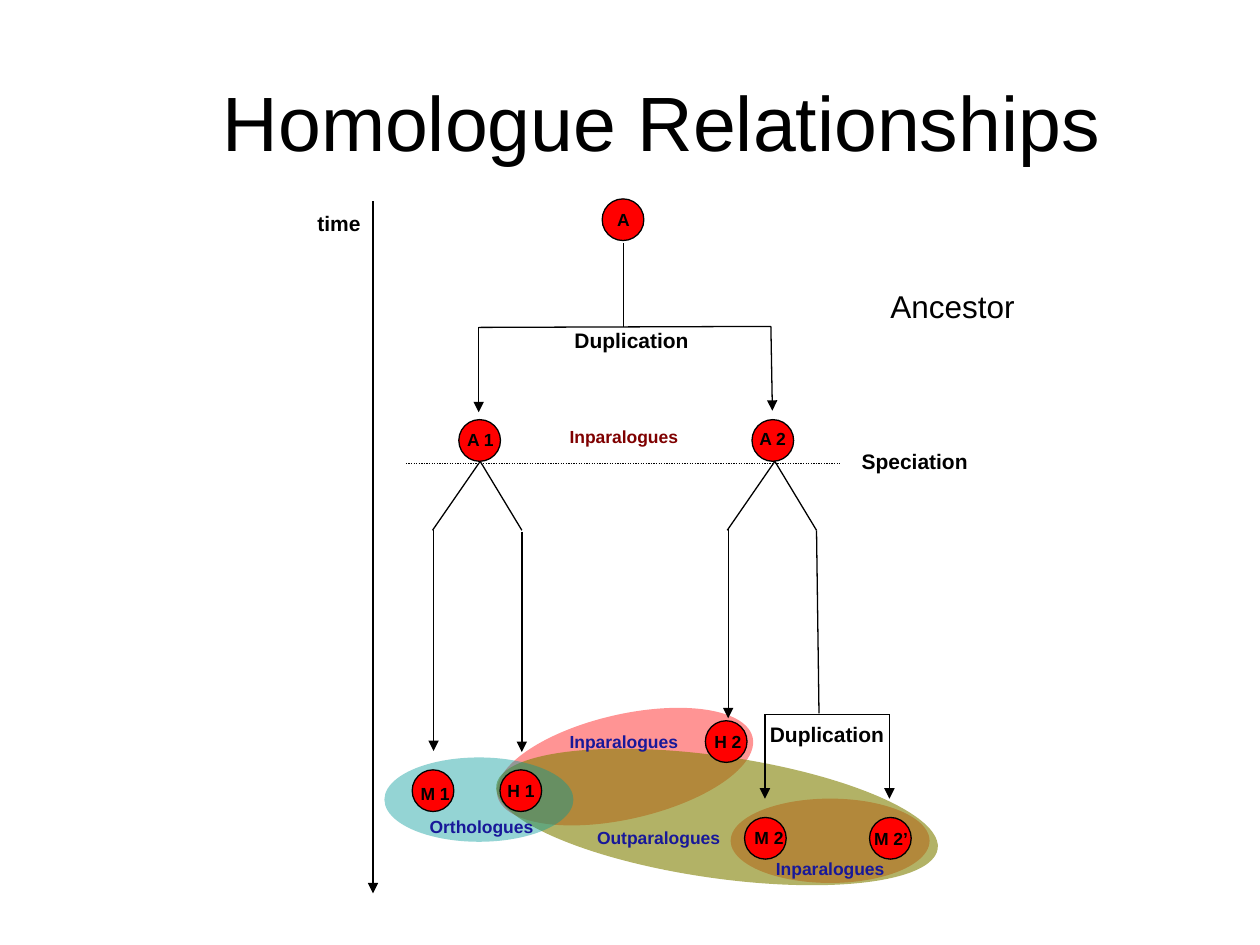
"""Build a slide showing how homologous genes are related."""
from lxml import etree
from pptx import Presentation
from pptx.dml.color import RGBColor
from pptx.enum import dml, shapes, text
from pptx.oxml.ns import qn
from pptx.util import Cm, Pt

BLACK, RED, NAVY, MAROON = "000000", "FF0000", "181899", "7F0000"
SIZE = 0.84

GROUPS = [
    (9.96, 14.4, 5.28, 2.11, RED, 42, -12.9),
    (14.73, 16.1, 4.01, 1.7, RED, 42, 0),
    (9.96, 15.24, 8.99, 2.46, "808000", 60, 8.2),
    (7.75, 15.27, 3.81, 1.7, "009999", 42, 0),
]
# Text, circle left and top, label left, top and width
GENES = [
    ("A", 12.14, 4.01, 12.19, 4.09, 0.9),
    ("A 1", 9.25, 8.46, 9.17, 8.53, 1.2),
    ("A 2", 15.16, 8.46, 15.06, 8.51, 1.2),
    ("M 1", 8.31, 15.52, 8.23, 15.65, 1.2),
    ("H 1", 10.08, 15.52, 9.98, 15.6, 1.2),
    ("H 2", 14.22, 14.53, 14.15, 14.61, 1.2),
    ("M 2", 15.01, 16.48, 14.96, 16.54, 1.47),
    ("M 2’", 17.53, 16.48, 17.37, 16.56, 1.35),
]
ARROWS = [
    (7.52, 4.06, 7.52, 18.01),
    (9.65, 6.6, 9.65, 8.31),
    (15.54, 6.58, 15.57, 8.28),
    (8.74, 10.69, 8.74, 15.14),
    (10.52, 10.72, 10.52, 15.16),
    (14.68, 10.67, 14.68, 14.48),
    (15.42, 14.4, 15.42, 16.1),
    (17.93, 14.4, 17.93, 16.1),
]
LINES = [
    (12.57, 4.9, 12.57, 6.6),
    (9.65, 6.6, 15.54, 6.58),
    (16.46, 10.69, 16.51, 14.38),
    (15.42, 14.4, 17.93, 14.4),
]
EVENTS = [
    ("time", 6.15, 4.11, 1.5),
    ("Duplication", 11.33, 6.48, 2.95),
    ("Speciation", 17.12, 8.92, 2.8),
    ("Duplication", 15.27, 14.43, 2.95),
]
TERMS = [
    ("Inparalogues", 11.13, 8.46, 2.89, MAROON),
    ("Inparalogues", 11.13, 14.61, 2.89, NAVY),
    ("Orthologues", 8.31, 16.33, 2.79, NAVY),
    ("Outparalogues", 11.69, 16.54, 3.17, NAVY),
    ("Inparalogues", 15.29, 17.17, 2.89, NAVY),
]


def tint(part, code):
    """Give a fill, line or font a solid colour."""
    color = part.color if hasattr(part, "color") else part.fore_color
    color.rgb = RGBColor.from_string(code)


def style(para, size, code=BLACK, bold=True, align=text.PP_ALIGN.LEFT):
    """Format a paragraph."""
    para.alignment = align
    font = para.font
    font.name, font.size, font.bold = "Arial", Pt(size), bold
    tint(font, code)


def label(slide, words, x, y, w, size=10, **look):
    """Add a one-line text box as high as its text."""
    high = {10: 0.69, 12: 0.76, 18: 1.02}[size]
    box = slide.shapes.add_textbox(Cm(x), Cm(y), Cm(w), Cm(high))
    frame = box.text_frame
    frame.word_wrap = False
    frame.auto_size = text.MSO_AUTO_SIZE.NONE
    frame.text = words
    style(frame.paragraphs[0], size, **look)


def oval(slide, x, y, w, h, code):
    """Add a filled ellipse without a shadow."""
    shape = slide.shapes.add_shape(
        shapes.MSO_SHAPE.OVAL, Cm(x), Cm(y), Cm(w), Cm(h))
    shape.shadow.inherit = False
    shape.fill.solid()
    tint(shape.fill, code)
    return shape


def group(slide, x, y, w, h, code, alpha, turn):
    """Add a see-through ellipse around related genes."""
    shape = oval(slide, x, y, w, h, code)
    shape.line.fill.background()
    shape.rotation = turn
    color = shape.element.spPr.find(".//" + qn("a:srgbClr"))
    etree.SubElement(color, qn("a:alpha"), val=str(alpha * 1000))


def gene(slide, x, y):
    """Add the outlined circle of a gene."""
    edge = oval(slide, x, y, SIZE, SIZE, RED).line
    edge.width = Pt(0.75)
    tint(edge, BLACK)


def line(slide, ends, arrow=False, dash=None):
    """Add a thin black line, with an arrowhead if wanted."""
    link = slide.shapes.add_connector(
        shapes.MSO_CONNECTOR.STRAIGHT, *map(Cm, ends))
    link.line.width = Pt(0.75)
    tint(link.line, BLACK)
    if dash:
        link.line.dash_style = dash
    if arrow:
        edge = link.element.spPr.find(qn("a:ln"))
        etree.SubElement(edge, qn("a:tailEnd"), type="triangle")
    etree.SubElement(link.element.spPr, qn("a:effectLst"))


def fork(slide, x):
    """Add the two branches below a gene."""
    for step in (-0.96, 0.84):
        line(slide, (x, 9.3, x + step, 10.69))


def title(slide, words):
    """Place and format the slide title."""
    box = slide.shapes.title
    box.left, box.top, box.width, box.height = map(Cm, (3.18, 1.07, 20.32, 2.74))
    frame = box.text_frame
    frame.text = words
    frame.auto_size = text.MSO_AUTO_SIZE.NONE
    frame.vertical_anchor = text.MSO_ANCHOR.MIDDLE
    style(frame.paragraphs[0], 44, bold=False, align=text.PP_ALIGN.CENTER)


def main():
    """Build and save the slide."""
    deck = Presentation()
    deck.slide_width, deck.slide_height = Cm(25.4), Cm(19.05)
    slide = deck.slides.add_slide(deck.slide_layouts[5])
    title(slide, "Homologue Relationships")
    for item in GROUPS:
        group(slide, *item)
    for _, x, y, *_ in GENES:
        gene(slide, x, y)
    for ends in ARROWS:
        line(slide, ends, arrow=True)
    for ends in LINES:
        line(slide, ends)
    line(slide, (8.18, 9.35, 16.94, 9.35), dash=dml.MSO_LINE.ROUND_DOT)
    for x in (9.68, 15.62):
        fork(slide, x)
    for name, _, _, x, y, w in GENES:
        label(slide, name, x, y, w)
    for item in EVENTS:
        label(slide, *item, size=12)
    for *item, code in TERMS:
        label(slide, *item, code=code, align=text.PP_ALIGN.CENTER)
    label(slide, "Ancestor", 17.7, 5.66, 3.2, size=18, bold=False)
    deck.save("out.pptx")


if __name__ == "__main__":
    main()
